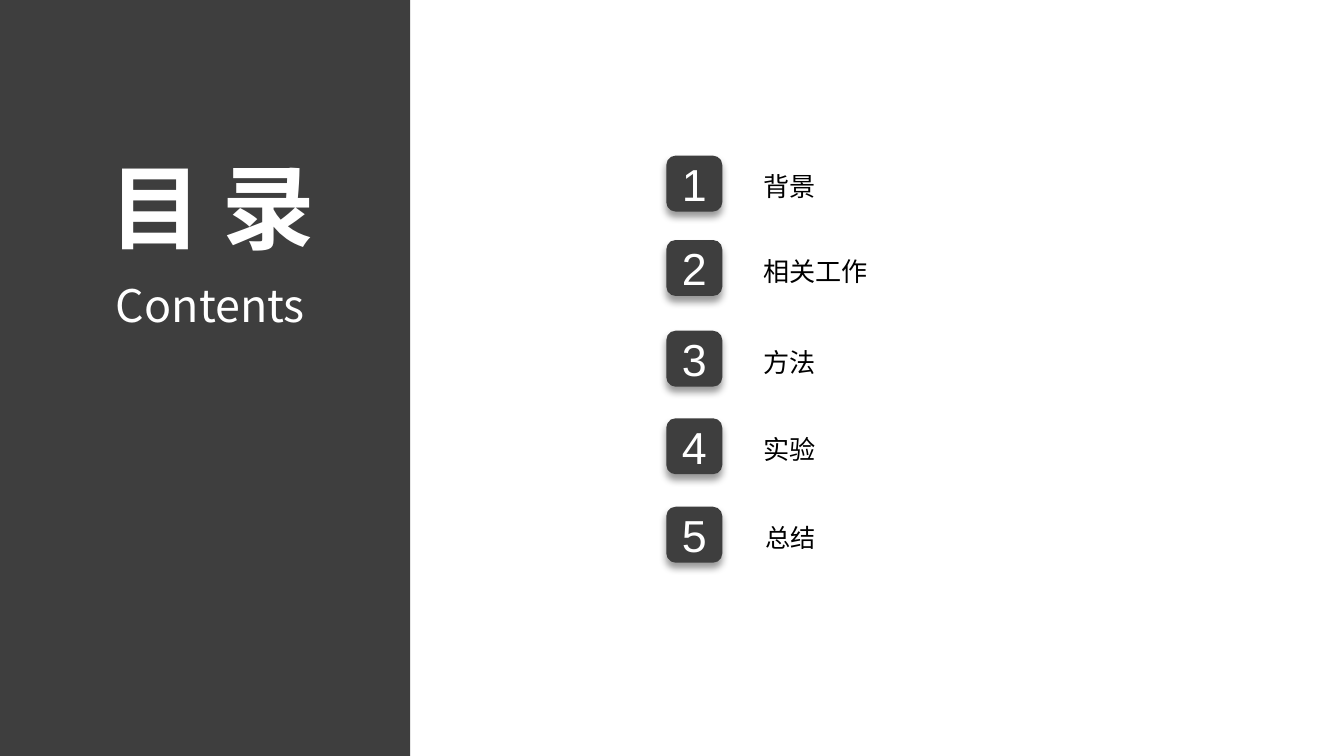
"""Build a contents slide with a dark side panel and five numbered topics."""
import lxml.etree
import pptx
import pptx.dml.color
import pptx.enum.shapes
import pptx.enum.text
import pptx.oxml.ns
import pptx.util

Pt = pptx.util.Pt
SHAPES = pptx.enum.shapes.MSO_SHAPE
ALIGN = pptx.enum.text.PP_ALIGN
DARK = pptx.dml.color.RGBColor(0x3E, 0x3E, 0x3E)
WHITE = pptx.dml.color.RGBColor(0xFF, 0xFF, 0xFF)
BLACK = pptx.dml.color.RGBColor(0x00, 0x00, 0x00)
HAN_FONT = "Noto Sans CJK SC"
BADGE_SIZE = 30
TOPICS = [
    ("背景", 83.4, 401.8, 42.4, 14),
    ("相关工作", 128.6, 401.8, 71, 14),
    ("方法", 177.2, 401.8, 42.4, 14),
    ("实验", 224.1, 401.8, 42.4, 14),
    ("总结", 271.5, 403.2, 41.6, 13.5),
]


def add_child(parent, tag, **attributes):
    return lxml.etree.SubElement(parent, pptx.oxml.ns.qn(tag), attributes)


def write_text(frame, text, size, color, font=HAN_FONT, align=ALIGN.LEFT, bold=False):
    frame.text = text
    para = frame.paragraphs[0]
    para.alignment = align
    span = para.runs[0]
    span.font.size = Pt(size)
    span.font.name = font
    span.font.bold = bold
    span.font.color.rgb = color
    add_child(span.font._element, "a:ea", typeface=font)


def add_label(page, text, left, top, width, height, size, color, **style):
    box = page.shapes.add_textbox(Pt(left), Pt(top), Pt(width), Pt(height))
    frame = box.text_frame
    frame.word_wrap = False
    frame.auto_size = pptx.enum.text.MSO_AUTO_SIZE.SHAPE_TO_FIT_TEXT
    write_text(frame, text, size, color, **style)


def add_block(page, kind, left, top, width, height):
    block = page.shapes.add_shape(kind, Pt(left), Pt(top), Pt(width), Pt(height))
    block.shadow.inherit = False
    block.fill.solid()
    block.fill.fore_color.rgb = DARK
    block.line.fill.background()
    return block


def add_shadow(shape):
    effects = shape._element.spPr.find(pptx.oxml.ns.qn("a:effectLst"))
    shadow = add_child(
        effects, "a:outerShdw", blurRad=str(Pt(4)), dist=str(Pt(3)),
        dir="5400000", algn="t", rotWithShape="0",
    )
    color = add_child(shadow, "a:srgbClr", val=str(BLACK))
    add_child(color, "a:alpha", val="40000")


def add_badge(page, number, top):
    badge = add_block(page, SHAPES.ROUNDED_RECTANGLE, 357, top, BADGE_SIZE, BADGE_SIZE)
    add_shadow(badge)
    frame = badge.text_frame
    frame.margin_left = frame.margin_right = 0
    frame.margin_top = frame.margin_bottom = 0
    frame.vertical_anchor = pptx.enum.text.MSO_ANCHOR.MIDDLE
    write_text(frame, str(number), 24, WHITE, font="Arial", align=ALIGN.CENTER)


def main():
    deck = pptx.Presentation()
    deck.slide_width = Pt(720)
    deck.slide_height = Pt(405)
    page = deck.slides.add_slide(deck.slide_layouts[6])

    add_block(page, SHAPES.RECTANGLE, 0, 0, 219.7, 405)
    add_label(page, "目 录", 49, 77, 129.6, 67, 49.5, WHITE, align=ALIGN.CENTER, bold=True)
    add_label(page, "Contents", 53.3, 145.4, 118.8, 36.7, 24, WHITE, align=ALIGN.CENTER)

    for number, (topic, top, left, width, size) in enumerate(TOPICS, start=1):
        add_badge(page, number, top)
        add_label(page, topic, left, top + 4.6, width, 24.5, size, BLACK)

    deck.save("out.pptx")


if __name__ == "__main__":
    main()
